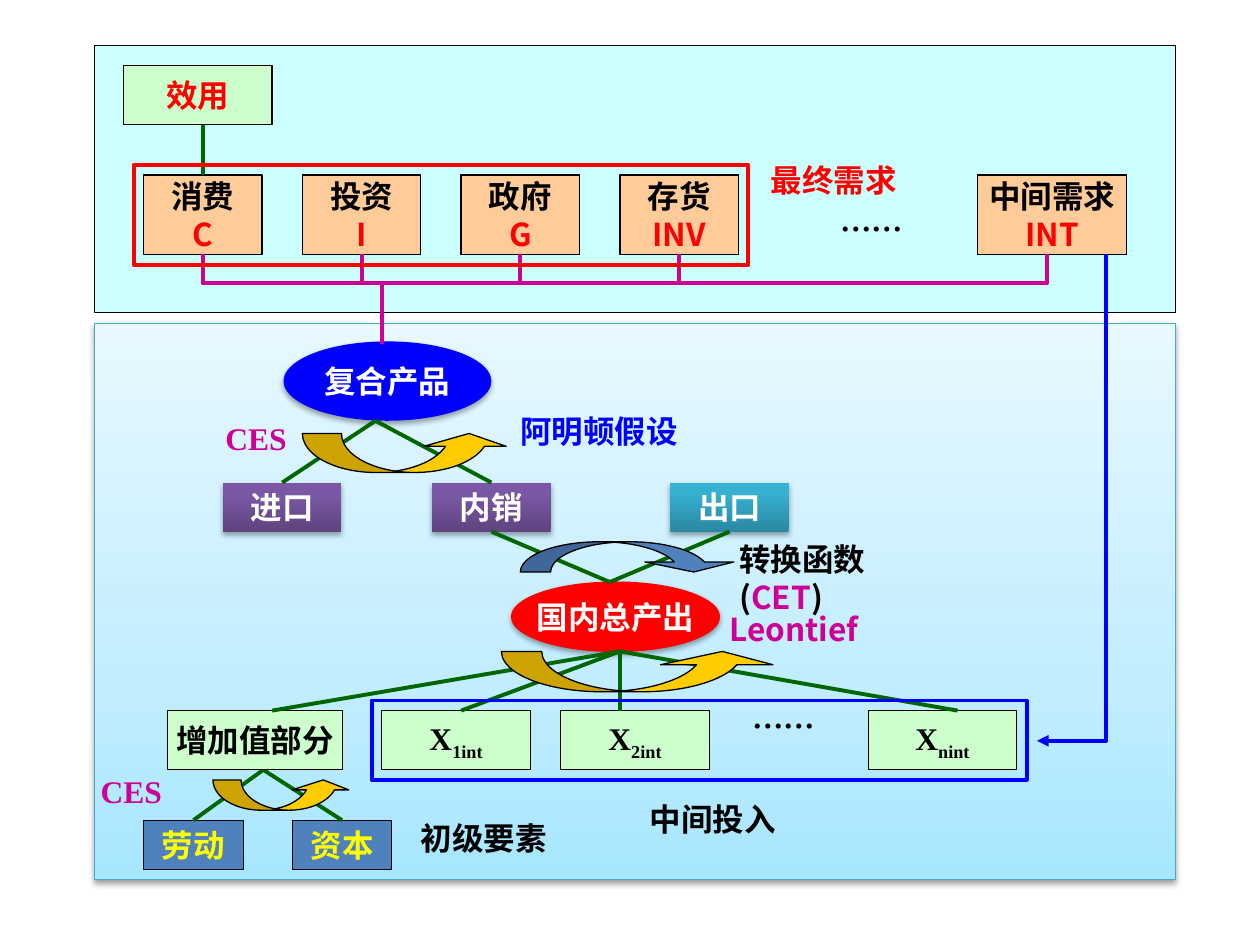
"""Build the slide of the demand and output nesting of a CGE model."""
from dataclasses import dataclass

import lxml.etree
import pptx
import pptx.dml.color
import pptx.enum.shapes
import pptx.enum.text
import pptx.oxml.ns
import pptx.util

KIND = pptx.enum.shapes.MSO_SHAPE
ALIGN = pptx.enum.text.PP_ALIGN
qn = pptx.oxml.ns.qn

SANS, SERIF = "Noto Sans CJK SC", "Times New Roman"
BLACK, WHITE, RED, BLUE = "000000", "FFFFFF", "FF0000", "0000FF"
GREEN, PINK, STEEL, GOLD = "006600", "CC0099", "4F81BD", "FFCC00"
MINT, PEACH, AQUA, YELLOW = "CCFFCC", "FFCC99", "CCFFFF", "FFFF00"
SKY = ((0, "A7E6FF"), (35, "C1EDFF"), (100, "E7F8FF"))
PLUM = ((0, "5F4480"), (80, "7B58A6"), (100, "7C57A8"))
TEAL = ((0, "2A88A2"), (80, "37B1D2"), (100, "34B4D6"))


@dataclass
class Run:
    text: str
    color: str = BLACK
    font: str = SANS
    sub: bool = False


@dataclass
class Box:
    area: tuple
    lines: tuple = ()
    fill: str | tuple | None = None
    edge: str | None = BLACK
    width: float = 0.75
    kind: KIND = KIND.RECTANGLE
    shade: int = 0
    adjust: tuple = ()


@dataclass
class Note:
    area: tuple
    runs: tuple
    wrap: bool = False


def inch(value: float) -> int:
    return pptx.util.Cm(value * 2.54)


def tint(code: str):
    return pptx.dml.color.RGBColor.from_string(code)


def child(parent, tag: str, **values):
    return lxml.etree.SubElement(parent, qn(tag), {k: str(v) for k, v in values.items()})


def write(para, text: str, *, color: str = BLACK, font: str = SANS, sub: bool = False) -> None:
    run = para.add_run()
    run.text = text
    run.font.size = pptx.util.Pt(18)
    run.font.bold = True
    run.font.name = font
    run.font.color.rgb = tint(color)
    props = run.font._element
    child(props, "a:ea", typeface=font)
    if sub:
        props.set("baseline", "-25000")


def fill_text(shape, lines: tuple, align, wrap: bool = False) -> None:
    frame = shape.text_frame
    frame.word_wrap = wrap
    for i, runs in enumerate(lines):
        para = frame.add_paragraph() if i else frame.paragraphs[0]
        para.alignment = align
        for run in runs:
            write(para, run.text, color=run.color, font=run.font, sub=run.sub)


def paint(shape, fill: str | tuple | None) -> None:
    if fill is None:
        shape.fill.background()
    elif isinstance(fill, str):
        shape.fill.solid()
        shape.fill.fore_color.rgb = tint(fill)
    else:
        shape.fill.gradient()
        shape.fill.gradient_angle = 90
        stops = next(shape.element.iter(qn("a:gsLst")))
        stops[:] = []
        for place, code in fill:
            child(child(stops, "a:gs", pos=place * 1000), "a:srgbClr", val=code)


def stroke(shape, color: str | None, width: float = 2.25) -> None:
    if color is None:
        shape.line.fill.background()
    else:
        shape.line.color.rgb = tint(color)
        shape.line.width = pptx.util.Pt(width)


def draw_box(slide, box: Box):
    shape = slide.shapes.add_shape(box.kind, *map(inch, box.area))
    for i, value in enumerate(box.adjust):
        shape.adjustments[i] = value
    paint(shape, box.fill)
    stroke(shape, box.edge, box.width)
    shape.shadow.inherit = False
    if box.shade:
        glow = child(next(shape.element.iter(qn("a:effectLst"))), "a:outerShdw", blurRad=40000,
                     dist=22000, dir=5400000, rotWithShape=0)
        child(child(glow, "a:srgbClr", val=BLACK), "a:alpha", val=box.shade * 1000)
    if box.lines:
        shape.text_frame.vertical_anchor = pptx.enum.text.MSO_ANCHOR.MIDDLE
        fill_text(shape, box.lines, ALIGN.CENTER)
    return shape


def draw_note(slide, note: Note) -> None:
    shape = slide.shapes.add_textbox(*map(inch, note.area))
    fill_text(shape, (note.runs,), ALIGN.LEFT, note.wrap)


def link(slide, start: tuple, end: tuple, color: str = GREEN, box=None, side: int = 0) -> None:
    line = slide.shapes.add_connector(pptx.enum.shapes.MSO_CONNECTOR.STRAIGHT,
                                      *map(inch, start + end))
    stroke(line, color)
    child(line.element.spPr, "a:effectLst")
    if box is not None:
        line.end_connect(box, side)


def trace(slide, points: list, color: str, arrow: bool = False) -> None:
    spots = [(inch(x), inch(y)) for x, y in points]
    pen = slide.shapes.build_freeform(*spots[0])
    pen.add_line_segments(spots[1:], close=False)
    shape = pen.convert_to_shape()
    paint(shape, None)
    stroke(shape, color)
    shape.shadow.inherit = False
    if arrow:
        child(shape.line._get_or_add_ln(), "a:tailEnd", type="triangle")


def main() -> None:
    deck = pptx.Presentation()
    deck.slide_width, deck.slide_height = inch(10), inch(7.5)
    slide = deck.slides.add_slide(deck.slide_layouts[6])

    draw_box(slide, Box((0.75, 2.57, 8.58, 4.41), fill=SKY, edge="46AAC5", shade=38))
    draw_box(slide, Box((0.75, 0.36, 8.58, 2.12), fill=AQUA))

    for left, text, tip in ((1.14, "劳动", 1.53), (2.32, "资本", 2.72)):
        factor = draw_box(slide, Box((left, 6.51, 0.79, 0.39), ((Run(text, YELLOW),),), STEEL))
        link(slide, (2.09, 6.11), (tip, 6.51), box=factor)
    draw_box(slide, Box((1.33, 5.64, 1.39, 0.47), ((Run("增加值部分"),),), MINT))
    for left, mark in ((3.03, "1int"), (4.45, "2int"), (6.89, "nint")):
        runs = (Run("X", font=SERIF), Run(mark, font=SERIF, sub=True))
        draw_box(slide, Box((left, 5.64, 1.18, 0.47), (runs,), MINT))

    draw_box(slide, Box((4.06, 4.62, 1.65, 0.55), ((Run("国内总产出", WHITE),),), RED, RED,
                        kind=KIND.OVAL, shade=35))
    for tip in (2.16, 3.66, 4.92, 7.6):
        link(slide, (4.92, 5.17), (tip, 5.64))
    draw_box(slide, Box((2.25, 2.71, 1.65, 0.63), ((Run("复合产品", WHITE),),), BLUE, None,
                        kind=KIND.OVAL, shade=35))
    trade = [draw_box(slide, Box((left, 3.83, 0.94, 0.39), ((Run(text, WHITE),),), fill, None,
                                 shade=35))
             for left, text, fill in ((1.77, "进口", PLUM), (3.43, "内销", PLUM),
                                      (5.32, "出口", TEAL))]
    for box, tip in zip(trade[:2], (2.24, 3.9)):
        link(slide, (2.98, 3.34), (tip, 3.83), box=box)
    for box, tip in zip(trade[1:], (3.9, 5.79)):
        link(slide, (4.84, 4.62), (tip, 4.22), box=box, side=2)

    uses = []
    for i, (text, code) in enumerate((("消费", "C"), ("投资", "I"), ("政府", "G"),
                                      ("存货", "INV"))):
        lines = ((Run(text),), (Run(code, RED),))
        uses.append(draw_box(slide, Box((1.14 + 1.26 * i, 1.39, 0.94, 0.63), lines, PEACH)))
    draw_box(slide, Box((7.76, 1.39, 1.18, 0.63), ((Run("中间需求"),), (Run("INT", RED),)), PEACH))
    trace(slide, [(1.61, 2.02), (1.61, 2.25), (8.31, 2.25), (8.31, 2.02)], PINK)
    for i, box in enumerate(uses[1:], 1):
        spot = 1.61 + 1.26 * i
        link(slide, (spot, 2.25), (spot, 2.02), PINK, box, 2)
    link(slide, (3.03, 2.25), (3.03, 2.73), PINK)
    draw_box(slide, Box((0.98, 0.52, 1.18, 0.47), ((Run("效用", RED),),), MINT))
    link(slide, (1.61, 0.99), (1.61, 1.39), box=uses[0])
    trace(slide, [(8.78, 2.02), (8.78, 5.88), (8.23, 5.88)], BLUE, arrow=True)

    draw_box(slide, Box((2.95, 5.56, 5.2, 0.63), edge=BLUE, width=2.25))
    draw_box(slide, Box((1.06, 1.31, 4.88, 0.79), edge=RED, width=2.25))
    up, down = KIND.CURVED_UP_ARROW, KIND.CURVED_DOWN_ARROW
    for area, kind, fill, adjust in (
            ((1.69, 6.19, 1.1, 0.24), up, GOLD, (0.93, 1.87, 0.33)),
            ((3.98, 5.17, 2.2, 0.32), up, GOLD, (1.4, 2.79, 0.33)),
            ((2.4, 3.44, 1.65, 0.31), up, GOLD, (1.05, 2.11, 0.33)),
            ((4.13, 4.3, 1.73, 0.24), down, STEEL, (1.47, 2.94, 0.33))):
        draw_box(slide, Box(area, fill=fill, kind=kind, adjust=adjust))

    for note in (
            Note((5.87, 5.56, 0.79, 0.4), (Run("……"),), True),
            Note((6.57, 1.62, 0.79, 0.4), (Run("……"),), True),
            Note((5.06, 6.3, 1.22, 0.4), (Run("中间投入"),)),
            Note((4.03, 3.22, 1.46, 0.4), (Run("阿明顿假设", BLUE),)),
            Note((1.69, 3.28, 0.93, 0.4), (Run("CES", PINK, SERIF),), True),
            Note((0.7, 6.08, 0.93, 0.4), (Run("CES", PINK, SERIF),), True),
            Note((5.69, 4.79, 1.23, 0.4), (Run("Leontief", PINK),)),
            Note((5.77, 4.24, 1.6, 0.4), (Run("转换函数 ("), Run("CET", PINK), Run(")")), True),
            Note((6.02, 1.23, 1.22, 0.4), (Run("最终需求", RED),)),
            Note((3.24, 6.45, 1.22, 0.4), (Run("初级要素"),))):
        draw_note(slide, note)
    deck.save("out.pptx")


if __name__ == "__main__":
    main()
